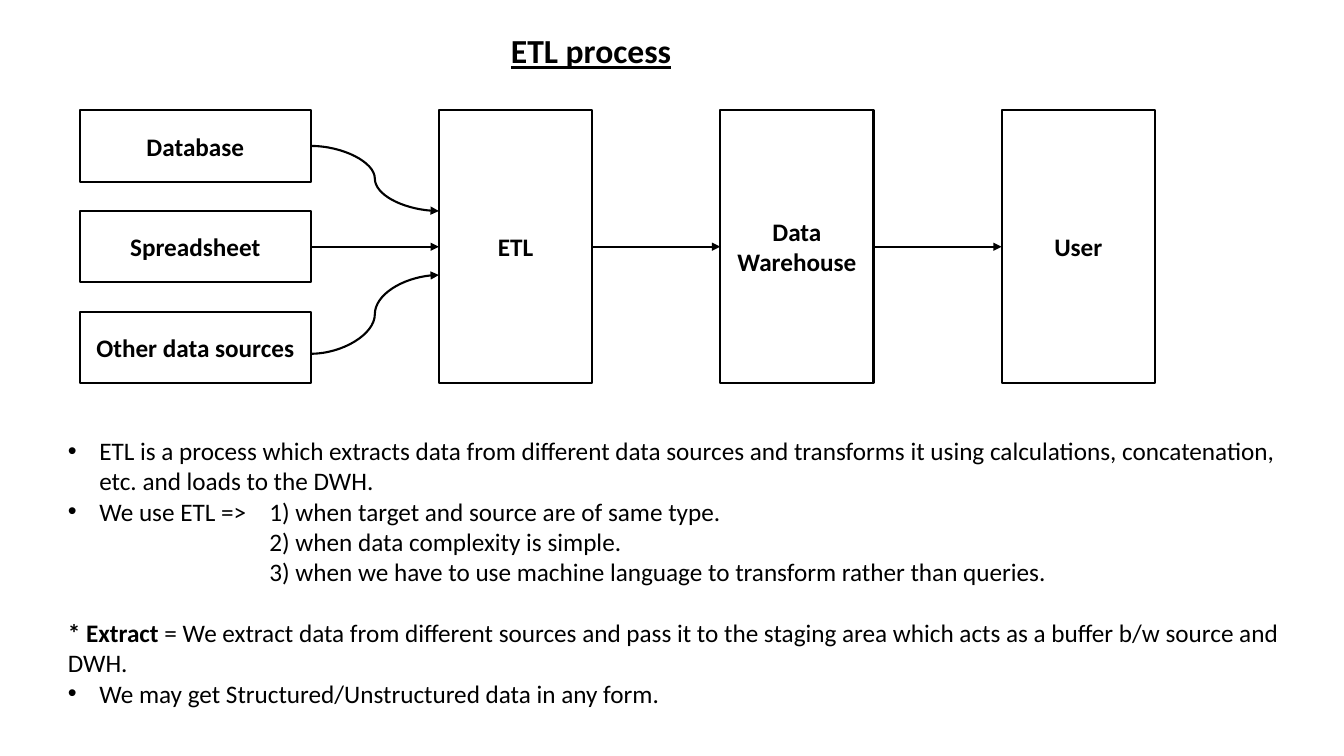
"""Builds the ETL process slide."""
import pptx
import pptx.dml.color
import pptx.enum.shapes
import pptx.enum.text
import pptx.oxml.ns
import pptx.util
from lxml import etree

BLACK = pptx.dml.color.RGBColor(0, 0, 0)
EMU_PER_PX = 9525
ALIGN = pptx.enum.text.PP_ALIGN
ANCHOR = pptx.enum.text.MSO_ANCHOR
CONNECTOR = pptx.enum.shapes.MSO_CONNECTOR


def px(length):
    """Turn pixels into EMU."""
    return pptx.util.Emu(length * EMU_PER_PX)


def add_xml(parent, tag, **attributes):
    """Append a DrawingML element to its parent."""
    return etree.SubElement(parent, pptx.oxml.ns.qn(tag), **attributes)


def write(paragraph, text, size=18, bold=False, underline=False, align=ALIGN.LEFT):
    """Add a formatted run to a paragraph."""
    paragraph.alignment = align
    run = paragraph.add_run()
    run.text = text
    run.font.name = "Calibri"
    run.font.size = pptx.util.Pt(size)
    run.font.bold = bold
    run.font.underline = underline
    run.font.color.rgb = BLACK


class EtlSlide:
    """Holds the line style and the slide being drawn."""

    def __init__(self, slide, line_width=1.5):
        self.slide = slide
        self.line_width = pptx.util.Pt(line_width)

    def place(self, placeholder, left, top, width, height, wrap=True):
        """Move a placeholder and return its prepared text frame."""
        placeholder.left, placeholder.top = px(left), px(top)
        placeholder.width, placeholder.height = px(width), px(height)
        frame = placeholder.text_frame
        frame.word_wrap = wrap
        frame.auto_size = pptx.enum.text.MSO_AUTO_SIZE.NONE
        frame.vertical_anchor = ANCHOR.TOP
        return frame

    def title(self, text, *bounds):
        """Fill the title placeholder."""
        frame = self.place(self.slide.shapes.title, *bounds, wrap=False)
        write(frame.paragraphs[0], text, size=24, bold=True, underline=True)

    def body(self, items, *bounds):
        """Fill the body placeholder with runs, indents and bullets."""
        frame = self.place(self.slide.placeholders[1], *bounds)
        for index, (runs, bulleted, indent, gap) in enumerate(items):
            paragraph = frame.add_paragraph() if index else frame.paragraphs[0]
            for text, bold in runs:
                write(paragraph, text, bold=bold)
            paragraph.space_before = pptx.util.Pt(gap)
            properties = paragraph._p.get_or_add_pPr()
            properties.set("marL", str(px(indent)))
            properties.set("indent", str(px(-indent if bulleted else 0)))
            if bulleted:
                add_xml(properties, "a:buFont", typeface="Arial")
                add_xml(properties, "a:buChar", char="•")
            else:
                add_xml(properties, "a:buNone")

    def box(self, label, left, top, width, height):
        """Draw an outlined rectangle with a centred label."""
        rectangle = self.slide.shapes.add_shape(
            pptx.enum.shapes.MSO_SHAPE.RECTANGLE,
            px(left), px(top), px(width), px(height))
        rectangle.shadow.inherit = False
        rectangle.fill.background()
        rectangle.line.color.rgb = BLACK
        rectangle.line.width = self.line_width
        rectangle.text_frame.word_wrap = True
        rectangle.text_frame.vertical_anchor = ANCHOR.MIDDLE
        write(rectangle.text_frame.paragraphs[0], label, bold=True, align=ALIGN.CENTER)
        return rectangle

    def arrow(self, kind, start, end):
        """Draw a connector with an arrowhead at its end."""
        connector = self.slide.shapes.add_connector(kind, *map(px, start + end))
        connector.line.color.rgb = BLACK
        connector.line.width = self.line_width
        add_xml(connector.line._get_or_add_ln(), "a:tailEnd", type="triangle")
        add_xml(connector._element.spPr, "a:effectLst")
        return connector

    def flow(self, giver, receiver):
        """Join the right side of one box to the left side of the next."""
        connector = self.arrow(CONNECTOR.STRAIGHT, (0, 0), (0, 0))
        connector.begin_connect(giver, 3)
        connector.end_connect(receiver, 1)


def main():
    """Build and save the slide."""
    presentation = pptx.Presentation()
    presentation.slide_width, presentation.slide_height = px(1280), px(720)
    etl = EtlSlide(presentation.slides.add_slide(presentation.slide_layouts[1]))

    etl.title("ETL process", 477, 24, 174, 48)

    sources = [etl.box(label, 76, 105 + 96 * row, 220, 68) for row, label in
               enumerate(["Database", "Spreadsheet", "Other data sources"])]
    stages = [etl.box(label, 418 + 268 * column, 105, 146, 260) for column, label in
              enumerate(["ETL", "Data Warehouse", "User"])]

    for source_y, etl_y in [(139, 201), (337, 262)]:
        etl.arrow(CONNECTOR.CURVE, (296, source_y), (418, etl_y))
    chain = [sources[1]] + stages
    for giver, receiver in zip(chain, chain[1:]):
        etl.flow(giver, receiver)

    etl.body([
        ([("ETL is a process which extracts data from different data sources and "
           "transforms it using calculations, concatenation, etc. and loads to the DWH.",
           False)], True, 30, 0),
        ([("We use ETL => \t1) when target and source are of same type.", False)],
         True, 30, 0),
        ([("2) when data complexity is simple.", False)], False, 192, 0),
        ([("3) when we have to use machine language to transform rather than queries.",
           False)], False, 192, 0),
        ([("* Extract", True),
          (" = We extract data from different sources and pass it to the staging area "
           "which acts as a buffer b/w source and DWH.", False)], False, 0, 22),
        ([("We may get Structured/Unstructured data in any form.", False)], True, 30, 0),
    ], 55, 410, 1208, 272)

    presentation.save("out.pptx")


if __name__ == "__main__":
    main()
